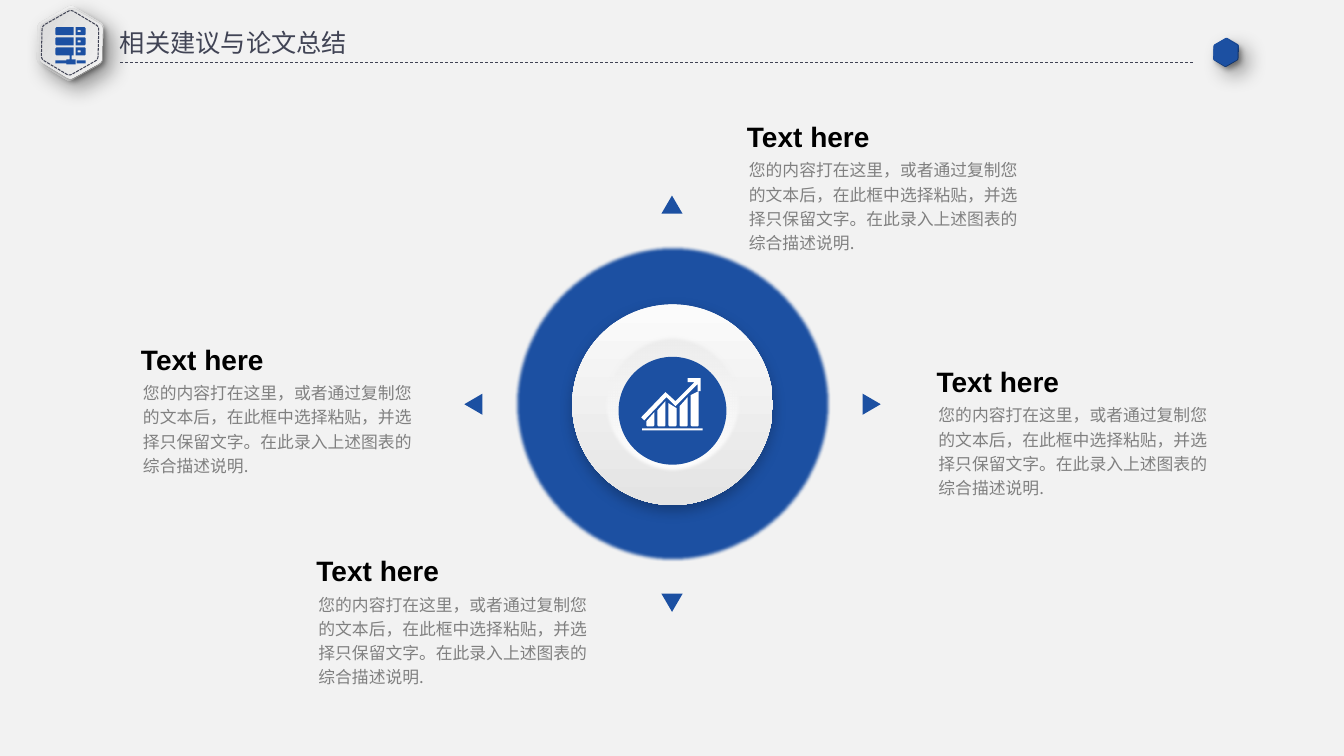
from dataclasses import dataclass
from math import cos, pi, sin

from lxml import etree
from pptx import Presentation
from pptx.dml.color import RGBColor
from pptx.enum.dml import MSO_LINE
from pptx.enum.shapes import MSO_CONNECTOR, MSO_SHAPE
from pptx.enum.text import MSO_ANCHOR, MSO_AUTO_SIZE, PP_ALIGN
from pptx.oxml.ns import qn
from pptx.util import Inches, Pt

OVAL, RECT, ARROW = MSO_SHAPE.OVAL, MSO_SHAPE.RECTANGLE, MSO_SHAPE.ISOSCELES_TRIANGLE
DASH, SHORT_DASH = MSO_LINE.DASH, MSO_LINE.SQUARE_DOT
TOP, MIDDLE, LEFT = MSO_ANCHOR.TOP, MSO_ANCHOR.MIDDLE, PP_ALIGN.LEFT
NO_FIT, GROW = MSO_AUTO_SIZE.NONE, MSO_AUTO_SIZE.SHAPE_TO_FIT_TEXT


@dataclass(frozen=True)
class Theme:
    back: str = "F2F2F2"
    blue: str = "1C50A2"
    ink: str = "414455"
    gray: str = "808080"
    black: str = "000000"
    white: str = "FFFFFF"
    steel: tuple = ("D3D3D3", "F9F9F9")
    disc: tuple = ("FFFFFF", "E4E4E4")
    face: tuple = ("FBFBFB", "E4E4E4")
    well: tuple = ("ECECEC", "FFFFFF")
    cjk: str = "Noto Sans CJK SC"
    latin: str = "Arial"
    title: int = 18
    head: int = 20
    body: int = 12


THEME = Theme()
BODY = "您的内容打在这里，或者通过复制您的文本后，在此框中选择粘贴，并选择只保留文字。在此录入上述图表的综合描述说明."
NOTES = [(1.32, 3.71), (9.21, 3.93), (7.33, 1.5), (3.06, 5.81)]
ARROWS = [(8.54, 3.92, 90), (4.59, 3.92, 270), (6.56, 5.89, 180), (6.56, 1.94, 0)]
BAR_TOPS = [(4.18, 4.09), (4.07, 3.98), (4, 4.05), (4.03, 3.94), (3.92, 3.88)]
TREND = [(6.36, 4.14), (6.6, 3.89), (6.7, 3.98), (6.89, 3.79), (6.82, 3.79),
         (6.82, 3.75), (6.95, 3.75), (6.95, 3.88), (6.92, 3.88), (6.92, 3.81),
         (6.7, 4.03), (6.61, 3.94), (6.39, 4.17)]
STEM = [(0.75, 0.64), (0.66, 0.64), (0.66, 0.63), (0.55, 0.63), (0.55, 0.6),
        (0.66, 0.6), (0.66, 0.59), (0.69, 0.59), (0.69, 0.55), (0.71, 0.55),
        (0.71, 0.59), (0.75, 0.59)]


def rgb(code):
    return RGBColor.from_string(code)


def paint(shape, fill, angle=0):
    """Fill with one colour or a two-colour clockwise gradient, without line or shadow."""
    if isinstance(fill, tuple):
        shape.fill.gradient()
        shape.fill.gradient_angle = (360 - angle) % 360
        for stop, code in zip(shape.fill.gradient_stops, fill):
            stop.color.rgb = rgb(code)
    elif fill:
        shape.fill.solid()
        shape.fill.fore_color.rgb = rgb(fill)
    else:
        shape.fill.background()
    shape.line.fill.background()
    shape.shadow.inherit = False


def effect(shape, tag, **values):
    effects = shape.element.spPr.find(qn("a:effectLst"))
    return etree.SubElement(effects, qn(tag), {k: str(v) for k, v in values.items()})


def shade(shape, alpha, blur, dist, angle):
    node = effect(shape, "a:outerShdw", blurRad=Pt(blur), dist=Pt(dist),
                  dir=angle * 60000, algn="ctr", rotWithShape=0)
    color = etree.SubElement(node, qn("a:srgbClr"), val=THEME.black)
    etree.SubElement(color, qn("a:alpha"), val=str(alpha * 1000))


def soften(shape):
    effect(shape, "a:softEdge", rad=Pt(2.5))


def outline(slide, loops, fill, angle=0):
    loops = [[(Inches(x), Inches(y)) for x, y in loop] for loop in loops]
    pen = slide.shapes.build_freeform(*loops[0][0], scale=1.0)
    for i, loop in enumerate(loops):
        if i:
            pen.move_to(*loop[0])
        pen.add_line_segments(loop[1:], close=True)
    shape = pen.convert_to_shape()
    paint(shape, fill, angle)
    return shape


def hexagon(slide, x, y, w, h, fill, angle=0):
    """Draw a turned hexagon with rounded corners."""
    rad, cut, steps = 1 / 0.975, 0.1, 4
    tips = [(rad * cos(i * pi / 3), rad * sin(i * pi / 3) / sin(pi / 3) * 0.975)
            for i in range(6)]
    loop = []
    for i, tip in enumerate(tips):
        last, following = tips[i - 1], tips[(i + 1) % 6]
        for step in range(steps + 1):
            t = step / steps
            a, b = cut * (1 - t) ** 2, cut * t ** 2
            px, py = (p + a * (l - p) + b * (n - p)
                      for p, l, n in zip(tip, last, following))
            loop.append((x + w / 2 * (1 + px), y + h / 2 * (1 + py)))
    shape = outline(slide, [loop], fill, angle)
    shape.rotation = 30.9
    return shape


def preset(slide, kind, x, y, w, h, fill, angle=0):
    shape = slide.shapes.add_shape(kind, Inches(x), Inches(y), Inches(w), Inches(h))
    paint(shape, fill, angle)
    return shape


def disc(slide, size, y, fill):
    return preset(slide, OVAL, 6.67 - size / 2, y, size, size, fill, 90)


def write(box, text, font, size, color, bold=False):
    part = box.text_frame.paragraphs[0]
    part.alignment = LEFT
    run = part.add_run()
    run.text = text
    run.font.name, run.font.size, run.font.bold = font, Pt(size), bold
    run.font.color.rgb = rgb(color)
    latin = run.font._element.find(qn("a:latin"))
    latin.addnext(latin.makeelement(qn("a:ea"), {"typeface": font}))
    return part


def label(slide, x, y, w, h, wrap, fit, anchor):
    box = slide.shapes.add_textbox(Inches(x), Inches(y), Inches(w), Inches(h))
    frame = box.text_frame
    frame.word_wrap, frame.auto_size, frame.vertical_anchor = wrap, fit, anchor
    return box


def note(slide, x, y):
    body = label(slide, x, y, 2.96, 1.07, True, GROW, TOP)
    write(body, BODY, THEME.cjk, THEME.body, THEME.gray).line_spacing = 1.2
    head = label(slide, x - 0.02, y - 0.38, 3.15, 0.46, False, NO_FIT, MIDDLE)
    write(head, "Text here", THEME.latin, THEME.head, THEME.black, True)


def block(x, y, w, h, left=0, right=0):
    """Corners of a box whose left or right corners are cut by the given lengths."""
    r, b = x + w, y + h
    return [(x + left, y), (r - right, y), (r, y + right), (r, b - right),
            (r - right, b), (x + left, b), (x, b - left), (x, y + left)]


def server(slide):
    loops = [STEM, block(0.76, 0.6, 0.09, 0.03)]
    for row in range(3):
        y = 0.27 + 0.1 * row
        loops += [block(0.55, y, 0.18, 0.08, left=0.01),
                  block(0.75, y, 0.1, 0.08, right=0.01),
                  block(0.77, y + 0.03, 0.03, 0.02)]
    outline(slide, loops, THEME.blue)


def header(slide):
    shade(hexagon(slide, 0.33, 0.1, 0.73, 0.66, THEME.steel, 270), 40, 15, 9, 45)
    shade(hexagon(slide, 0.36, 0.12, 0.69, 0.62, THEME.steel), 40, 4, 3, 45)
    rim = hexagon(slide, 0.38, 0.14, 0.63, 0.57, None)
    rim.line.color.rgb = rgb(THEME.ink)
    rim.line.width, rim.line.dash_style = Pt(0.75), SHORT_DASH
    title = slide.shapes.title
    title.left, title.top = Inches(1.12), Inches(0.23)
    title.width, title.height = Inches(2.86), Inches(0.38)
    frame = title.text_frame
    frame.margin_left = frame.margin_right = Inches(0.07)
    frame.margin_top = frame.margin_bottom = Inches(0.04)
    frame.word_wrap, frame.auto_size, frame.vertical_anchor = True, GROW, TOP
    write(title, "相关建议与论文总结", THEME.cjk, THEME.title, THEME.ink)
    rule = slide.shapes.add_connector(MSO_CONNECTOR.STRAIGHT, Inches(1.19), Inches(0.62),
                                      Inches(11.83), Inches(0.62))
    rule.line.color.rgb = rgb(THEME.ink)
    rule.line.width, rule.line.dash_style = Pt(0.5), DASH
    etree.SubElement(rule.element.spPr, qn("a:effectLst"))
    shade(hexagon(slide, 12.02, 0.39, 0.28, 0.26, THEME.blue), 40, 15, 9, 45)
    shade(hexagon(slide, 12.02, 0.4, 0.27, 0.24, THEME.blue), 40, 4, 3, 45)
    server(slide)


def dial(slide):
    soften(disc(slide, 3.13, 2.44, THEME.blue))
    shade(disc(slide, 1.99, 3.02, THEME.disc), 25, 10, 4, 90)
    disc(slide, 1.99, 3.02, THEME.face)
    soften(disc(slide, 1.36, 3.33, THEME.well))
    disc(slide, 1.07, 3.54, THEME.blue)
    preset(slide, RECT, 6.37, 4.25, 0.6, 0.02, THEME.white)
    for i, (left, right) in enumerate(BAR_TOPS):
        x, base = 6.41 + 0.11 * i, 4.23
        outline(slide, [[(x, left), (x + 0.08, right), (x + 0.08, base - 0.01),
                         (x + 0.07, base), (x + 0.01, base), (x, base - 0.01)]],
                THEME.white)
    outline(slide, [TREND], THEME.white)
    for x, y, turn in ARROWS:
        preset(slide, ARROW, x, y, 0.21, 0.18, THEME.blue).rotation = turn


def main():
    deck = Presentation()
    deck.slide_width, deck.slide_height = Inches(13.33), Inches(7.5)
    slide = deck.slides.add_slide(deck.slide_layouts[5])
    slide.background.fill.solid()
    slide.background.fill.fore_color.rgb = rgb(THEME.back)
    header(slide)
    dial(slide)
    for x, y in NOTES:
        note(slide, x, y)
    deck.save("out.pptx")


if __name__ == "__main__":
    main()
